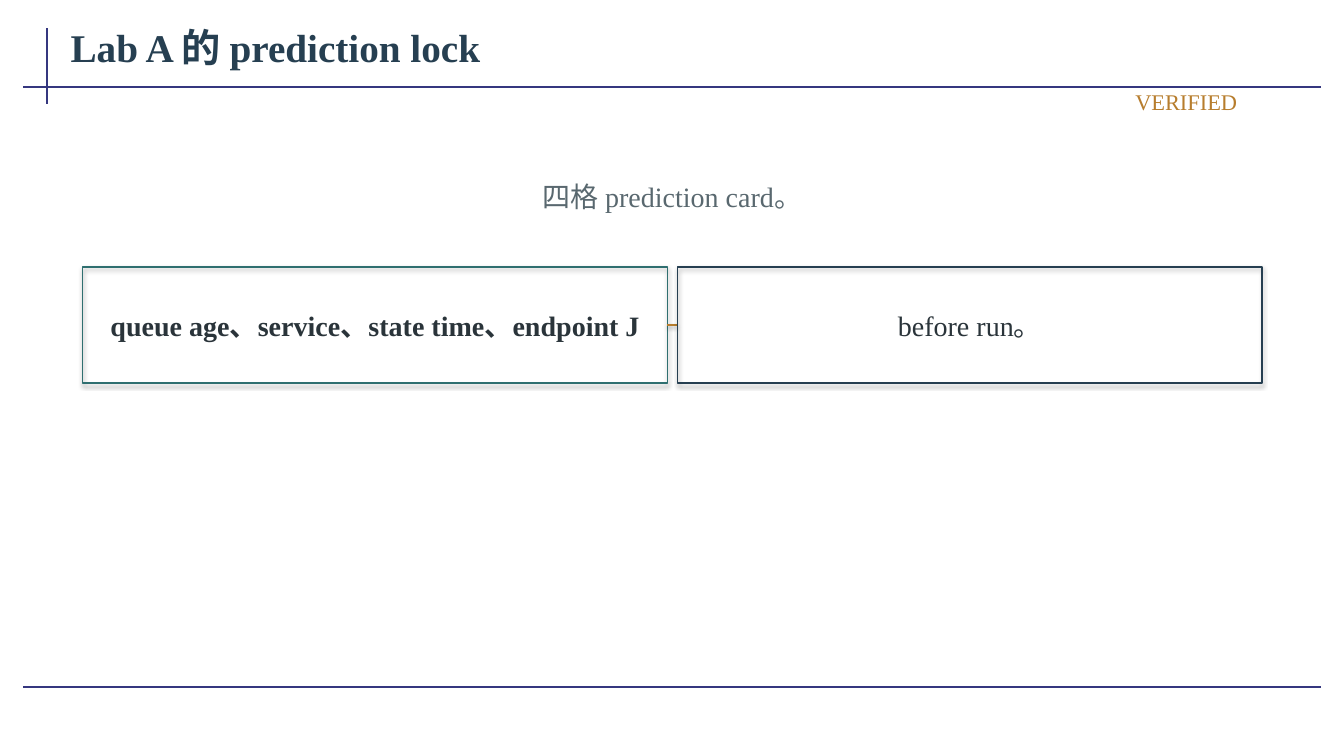
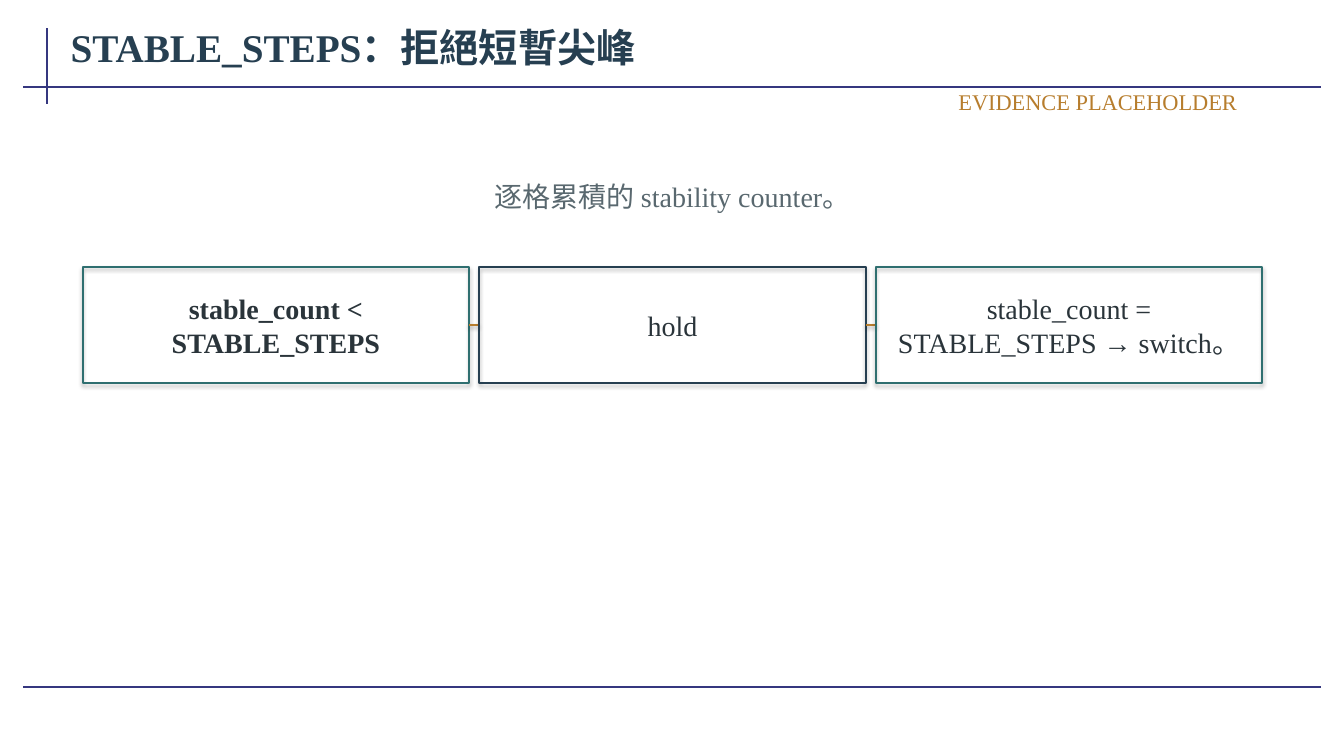
from dataclasses import dataclass
from typing import NamedTuple

from lxml import etree
from pptx import Presentation
from pptx.dml.color import RGBColor
from pptx.enum.shapes import MSO_CONNECTOR, MSO_SHAPE
from pptx.enum.text import MSO_ANCHOR, MSO_AUTO_SIZE, PP_ALIGN
from pptx.oxml.ns import qn
from pptx.presentation import Presentation as Deck
from pptx.shapes.connector import Connector
from pptx.slide import Slide
from pptx.util import Inches, Pt

STRAIGHT = MSO_CONNECTOR.STRAIGHT
RECTANGLE = MSO_SHAPE.RECTANGLE
MIDDLE = MSO_ANCHOR.MIDDLE
GROW = MSO_AUTO_SIZE.SHAPE_TO_FIT_TEXT
KEEP = MSO_AUTO_SIZE.NONE
LEFT, CENTER, RIGHT = PP_ALIGN.LEFT, PP_ALIGN.CENTER, PP_ALIGN.RIGHT


@dataclass(frozen=True)
class Theme:
    """Colours, type sizes and line widths of the deck."""

    font: str = "Times New Roman"
    rule: str = "35377F"
    navy: str = "263F51"
    teal: str = "2F6F70"
    amber: str = "B77D2D"
    ink: str = "2A343A"
    muted: str = "59686F"
    title_size: int = 28
    body_size: int = 20
    tag_size: int = 16
    rule_width: float = 1.5
    card_width: float = 1.2


class Area(NamedTuple):
    """A rectangle in inches."""

    left: float
    top: float
    width: float
    height: float

    def inset(self, across: float, down: float) -> "Area":
        """Return the area shrunk on every side."""
        return Area(self.left + across, self.top + down,
                    self.width - 2 * across, self.height - 2 * down)


class Stroke(NamedTuple):
    """A straight line between two points in inches."""

    x1: float
    y1: float
    x2: float
    y2: float


@dataclass(frozen=True)
class TextStyle:
    """How one kind of text looks."""

    size: int
    color: str
    align: PP_ALIGN
    bold: bool = False
    fit: MSO_AUTO_SIZE = GROW


@dataclass(frozen=True)
class Lesson:
    """The wording of one slide."""

    title: str
    tag: str
    caption: str
    steps: tuple[str, ...]


THEME = Theme()
TITLE = TextStyle(THEME.title_size, THEME.navy, LEFT, True, KEEP)
TAG = TextStyle(THEME.tag_size, THEME.amber, RIGHT)
CAPTION = TextStyle(THEME.body_size, THEME.muted, CENTER)
LEAD_STEP = TextStyle(THEME.body_size, THEME.ink, CENTER, True)
STEP = TextStyle(THEME.body_size, THEME.ink, CENTER)

SLIDE_WIDTH, SLIDE_HEIGHT = 13.33, 7.5
TITLE_AREA = Area(0.62, 0.15, 12.49, 0.62)
TAG_AREA = Area(9.15, 0.86, 3.2, 0.3)
CAPTION_AREA = Area(0.92, 1.65, 11.5, 0.6)
STEP_ROW = Area(0.82, 2.65, 11.7, 1.15)
STEP_GAP = 0.1
RULES = (
    Stroke(0.47, 0.28, 0.47, 1.03),
    Stroke(0.23, 0.86, 13.1, 0.86),
    Stroke(0.23, 6.82, 13.1, 6.82),
)

LESSONS = (
    Lesson("Lab A 的 prediction lock", "VERIFIED", "四格 prediction card。",
           ("queue age、service、state time、endpoint J", "before run。")),
    Lesson("STABLE_STEPS：拒絕短暫尖峰", "EVIDENCE PLACEHOLDER",
           "逐格累積的 stability counter。",
           ("stable_count < STABLE_STEPS", "hold",
            "stable_count = STABLE_STEPS → switch。")),
)


def draw_line(page: Slide, stroke: Stroke, color: str, width: float) -> Connector:
    """Draw a straight connector."""
    line = page.shapes.add_connector(STRAIGHT, *map(Inches, stroke))
    line.line.color.rgb = RGBColor.from_string(color)
    line.line.width = Pt(width)
    return line


def draw_text(page: Slide, area: Area, text: str, style: TextStyle) -> None:
    """Place one paragraph in a text box."""
    frame = page.shapes.add_textbox(*map(Inches, area)).text_frame
    frame.word_wrap = True
    frame.auto_size = style.fit
    frame.vertical_anchor = MIDDLE
    frame.margin_left = frame.margin_right = Inches(0.08)
    frame.margin_top = frame.margin_bottom = Inches(0.04)
    frame.text = text
    para = frame.paragraphs[0]
    para.alignment = style.align
    for span in para.runs:
        span.font.name = THEME.font
        span.font.size = Pt(style.size)
        span.font.bold = style.bold
        span.font.color.rgb = RGBColor.from_string(style.color)


def draw_step(page: Slide, area: Area, text: str, color: str, style: TextStyle) -> None:
    """Draw an outlined card that keeps the theme shadow, with its text."""
    card = page.shapes.add_shape(RECTANGLE, *map(Inches, area))
    card.fill.background()
    card.line.color.rgb = RGBColor.from_string(color)
    card.line.width = Pt(THEME.card_width)
    draw_text(page, area.inset(0.05, 0.1), text, style)


def draw_steps(page: Slide, steps: tuple[str, ...]) -> None:
    """Share the row equally between the steps and link neighbours."""
    width = (STEP_ROW.width - STEP_GAP * (len(steps) - 1)) / len(steps)
    middle = STEP_ROW.top + STEP_ROW.height / 2
    for index, text in enumerate(steps):
        left = STEP_ROW.left + index * (width + STEP_GAP)
        if index:
            link = Stroke(left - STEP_GAP, middle, left, middle)
            draw_line(page, link, THEME.amber, THEME.card_width)
        color = THEME.navy if index % 2 else THEME.teal
        draw_step(page, Area(left, STEP_ROW.top, width, STEP_ROW.height),
                  text, color, STEP if index else LEAD_STEP)


def share_rules(page: Slide) -> None:
    """Draw the flat frame rules and hand them to the page's layout."""
    for stroke in RULES:
        rule = draw_line(page, stroke, THEME.rule, THEME.rule_width)
        etree.SubElement(rule.element.spPr, qn("a:effectLst"))
        page.slide_layout.shapes.element.append(rule.element)


def add_lesson(deck: Deck, lesson: Lesson) -> Slide:
    """Add one slide on the blank layout."""
    page = deck.slides.add_slide(deck.slide_layouts[6])
    draw_text(page, TITLE_AREA, lesson.title, TITLE)
    draw_steps(page, lesson.steps)
    draw_text(page, CAPTION_AREA, lesson.caption, CAPTION)
    draw_text(page, TAG_AREA, lesson.tag, TAG)
    return page


def main() -> None:
    """Build and save the deck."""
    deck = Presentation()
    deck.slide_width = Inches(SLIDE_WIDTH)
    deck.slide_height = Inches(SLIDE_HEIGHT)
    pages = [add_lesson(deck, lesson) for lesson in LESSONS]
    share_rules(pages[0])
    deck.save("out.pptx")


if __name__ == "__main__":
    main()
